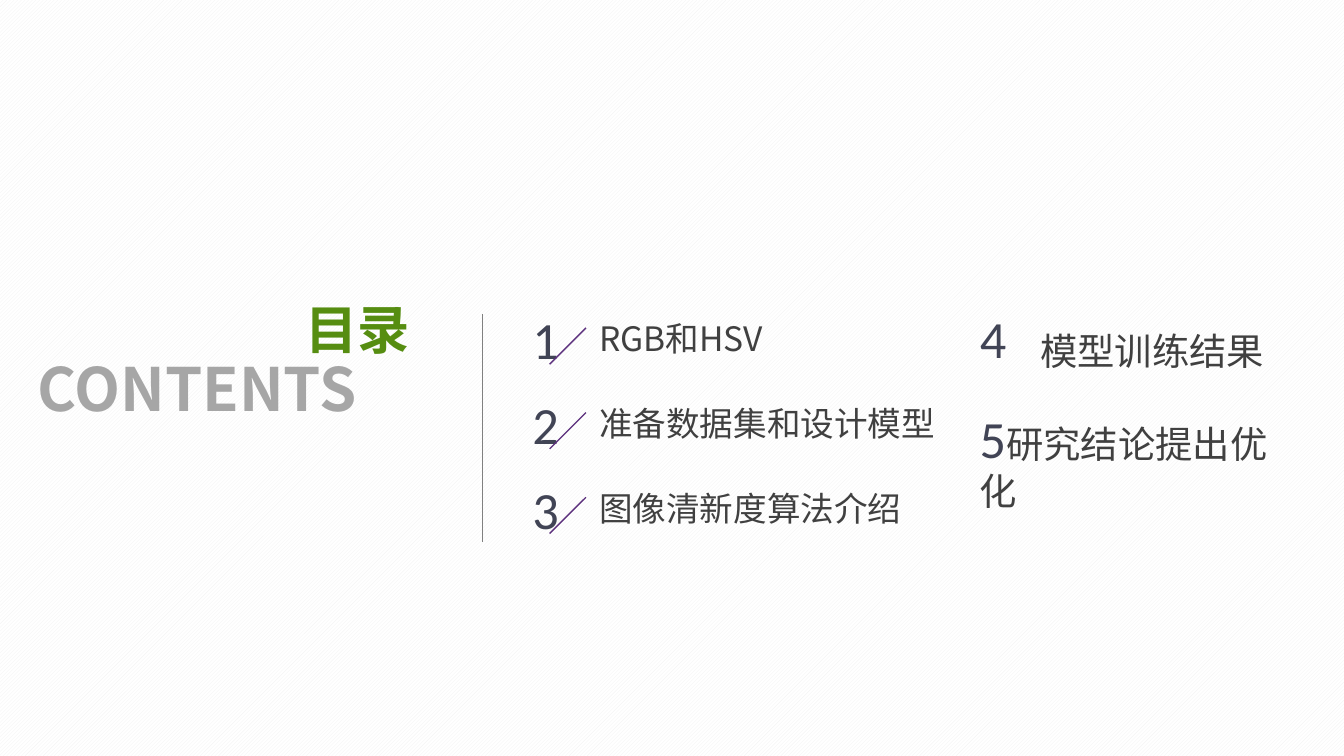
from pptx import Presentation
from pptx.dml.color import RGBColor
from pptx.enum.dml import MSO_PATTERN
from pptx.enum.shapes import MSO_CONNECTOR
from pptx.enum.text import MSO_ANCHOR, MSO_AUTO_SIZE, PP_ALIGN
from pptx.util import Inches, Pt
from lxml import etree

LINE = MSO_CONNECTOR.STRAIGHT
HATCH = MSO_PATTERN.LIGHT_UPWARD_DIAGONAL
TOP = MSO_ANCHOR.TOP
FIXED = MSO_AUTO_SIZE.NONE
LEFT, CENTER = PP_ALIGN.LEFT, PP_ALIGN.CENTER
NS = "{http://schemas.openxmlformats.org/drawingml/2006/main}"
SANS, DIGIT = "Noto Sans CJK SC", "Calibri"
COLORS = {"green": "568D11", "gray": "A6A6A6", "text": "404040", "num": "414455",
          "slash": "5C307D", "rule": "808080", "hatch": "F2F2F2", "white": "FFFFFF"}


def write(shape, place, runs, wrap=True, align=LEFT):
    """Place a text shape and fill it with (text, size, font, color, bold) runs."""
    shape.left, shape.top, shape.width, shape.height = map(Inches, place)
    frame = shape.text_frame
    frame.word_wrap = wrap
    frame.auto_size = FIXED
    frame.vertical_anchor = TOP
    para = frame.paragraphs[0]
    para.alignment = align
    for text, size, face, color, bold in runs:
        run = para.add_run()
        run.text = text
        font = run.font
        font.size, font.name, font.bold = Pt(size), face, bold
        font.color.rgb = RGBColor.from_string(COLORS[color])
        etree.SubElement(font._element, NS + "ea", typeface=face)


def draw(shapes, x1, y1, x2, y2, color):
    """Draw a thin straight line without a shadow."""
    line = shapes.add_connector(LINE, *map(Inches, (x1, y1, x2, y2)))
    line.line.width = Pt(0.75)
    line.line.color.rgb = RGBColor.from_string(COLORS[color])
    etree.SubElement(line._element.spPr, NS + "effectLst")


# Widescreen 16:9 slide
deck = Presentation()
deck.slide_width, deck.slide_height = Inches(10), Inches(10 * 9 / 16)
slide = deck.slides.add_slide(deck.slide_layouts[5])
shapes = slide.shapes

# Hatched background
fill = slide.background.fill
fill.patterned()
fill.pattern = HATCH
fill.fore_color.rgb = RGBColor.from_string(COLORS["hatch"])
fill.back_color.rgb = RGBColor.from_string(COLORS["white"])

# Heading and divider
write(shapes.title, (2.17, 2.16, 0.99, 0.57),
      [("目录", 28, SANS, "green", True)], wrap=False)
write(shapes.add_textbox(0, 0, 0, 0), (0.18, 2.57, 3.42, 0.64),
      [("CONTENTS", 32, SANS, "gray", True)])
draw(shapes, 3.59, 2.34, 3.59, 4.03, "rule")

# Left column: number and slash grouped, then the topic
topics = [("RGB和HSV", 1.61, True), ("准备数据集和设计模型", 2.7, False),
          ("图像清新度算法介绍", 2.45, False)]
for i, (topic, width, wrap) in enumerate(topics):
    y = 2.24 + 0.63 * i
    mark = shapes.add_group_shape().shapes
    write(mark.add_textbox(0, 0, 0, 0), (3.86, y, 0.4, 0.57),
          [(str(i + 1), 28, DIGIT, "num", False)], wrap=False, align=CENTER)
    draw(mark, 4.36, y + 0.2, 4.09, y + 0.47, "slash")
    write(shapes.add_textbox(0, 0, 0, 0), (4.36, y + 0.08, width, 0.4),
          [(topic, 18, SANS, "text", False)], wrap=wrap)

# Right column
write(shapes.add_textbox(0, 0, 0, 0), (7.19, 2.23, 0.4, 0.57),
      [("4", 28, DIGIT, "num", False)], wrap=False, align=CENTER)
write(shapes.add_textbox(0, 0, 0, 0), (7.64, 2.39, 2.13, 0.44),
      [("模型训练结果", 20, SANS, "text", False)])
write(shapes.add_textbox(0, 0, 0, 0), (7.19, 2.97, 2.35, 1.38),
      [("5", 28, DIGIT, "num", False), ("研究结论提出优化", 20, SANS, "text", False)])

deck.save("out.pptx")
